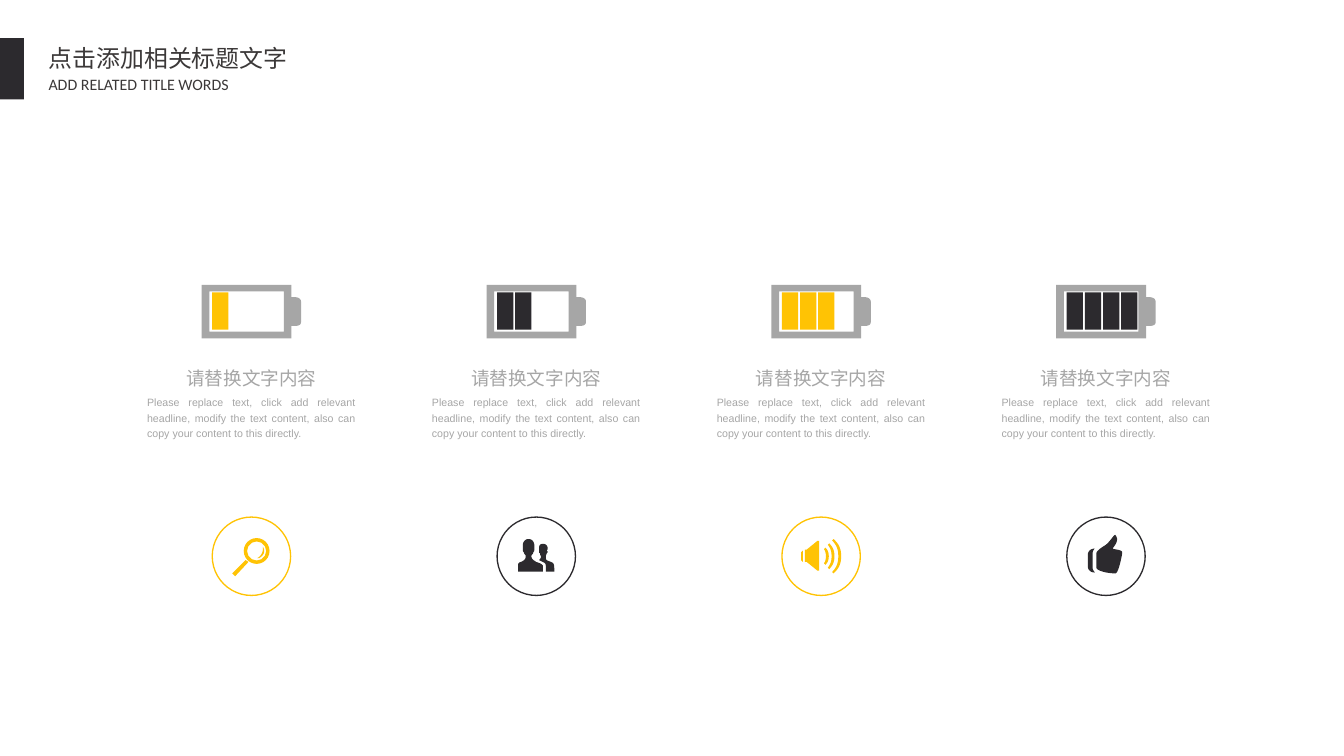
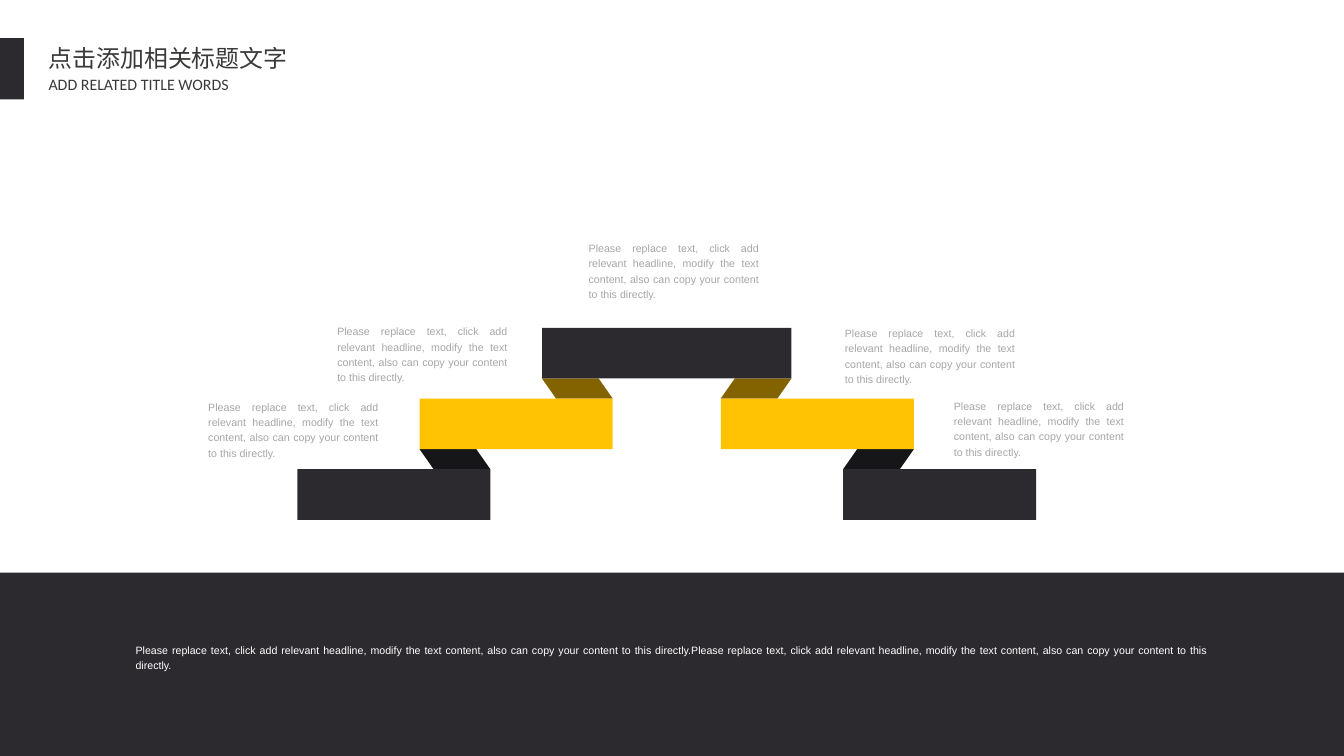
from dataclasses import dataclass

from lxml import etree
from pptx import Presentation
from pptx.dml.color import RGBColor
from pptx.enum.shapes import MSO_SHAPE
from pptx.enum.text import MSO_ANCHOR, MSO_AUTO_SIZE, PP_ALIGN
from pptx.oxml.ns import qn
from pptx.util import Inches, Pt

RECTANGLE = MSO_SHAPE.RECTANGLE
OVAL = MSO_SHAPE.OVAL
DONUT = MSO_SHAPE.DONUT
PARALLELOGRAM = MSO_SHAPE.PARALLELOGRAM
LEFT, CENTER, JUSTIFY = PP_ALIGN.LEFT, PP_ALIGN.CENTER, PP_ALIGN.JUSTIFY
TOP, MIDDLE = MSO_ANCHOR.TOP, MSO_ANCHOR.MIDDLE
GROW_TO_TEXT = MSO_AUTO_SIZE.SHAPE_TO_FIT_TEXT


@dataclass(frozen=True)
class Theme:
    dark: str = "2C2A2E"
    dark_fold: str = "161517"
    yellow: str = "FFC304"
    yellow_fold: str = "826300"
    gray: str = "A6A6A6"
    title: str = "3B3838"
    white: str = "FFFFFF"
    body_font: str = "Arial"
    subtitle_font: str = "Calibri"
    chinese_font: str = "Noto Sans CJK SC"
    title_size: int = 18
    heading_size: int = 14
    subtitle_size: int = 12
    body_size: int = 8


THEME = Theme()
WIDTH, HEIGHT = 14.06, 7.91
BODY = ("Please replace text, click add relevant headline, modify the text "
        "content, also can copy your content to this directly.")

# Icon outlines in hundredths of an inch from the top left of the ring.
# Two numbers are a corner, six numbers a Bezier curve.
LENS_HANDLE = [(21, 59), (24, 62), (38, 47), (35, 45)]
LENS_GLINT = [(53, 31), (54, 40, 47, 43, 47, 43), (49, 43), (58, 38, 53, 31, 53, 31)]
SMALL_PERSON = [
    (60, 57), (60, 57, 60, 49, 59, 49), (59, 48, 57, 47, 54, 46),
    (51, 45, 51, 44, 51, 41), (51, 40, 51, 41, 52, 38), (52, 37, 53, 38, 53, 36),
    (52, 35), (52, 35, 53, 34, 53, 33), (53, 31, 52, 28, 48, 28),
    (44, 28, 44, 31, 44, 33), (44, 36), (44, 38, 44, 37, 45, 38),
    (45, 41, 46, 40, 46, 41), (46, 43, 45, 44, 44, 45),
    (50, 48, 51, 48, 51, 51), (51, 57)]
LARGE_PERSON = [
    (41, 47), (38, 45, 36, 44, 36, 41), (36, 39, 37, 40, 38, 37),
    (38, 36, 39, 37, 39, 34), (39, 29), (39, 28, 38, 23, 33, 23),
    (28, 23, 27, 28, 27, 29), (27, 34), (27, 37, 28, 36, 28, 37),
    (29, 40, 30, 39, 30, 41), (30, 44, 29, 45, 25, 47),
    (24, 47, 22, 48, 22, 50), (22, 57), (48, 57), (48, 51),
    (48, 50, 45, 48, 41, 47)]
HORN = [(37, 25), (26, 34), (24, 34), (24, 47), (26, 47), (37, 56), (39, 56), (39, 25)]
HORN_BACK = [(20, 37), (20, 45), (22, 47), (22, 35)]
THUMB = [
    (48, 33), (48, 32, 56, 25, 51, 19), (50, 17, 46, 25, 41, 29),
    (38, 31, 31, 35, 31, 38), (31, 53), (31, 56, 42, 59, 51, 59),
    (54, 59, 58, 40, 58, 37), (58, 34, 49, 34, 48, 33)]
CUFF = [
    (29, 33), (27, 33, 22, 34, 22, 40), (22, 51), (22, 57, 27, 58, 29, 58),
    (30, 58, 27, 56, 27, 53), (27, 38), (27, 34, 30, 33, 29, 33)]
# Battery case with its cap, and the window cut into it
BATTERY_CASE = [
    (94, 13), (94, 0), (0, 0), (0, 56), (94, 56), (94, 43),
    (97, 43, 104, 44, 104, 39), (104, 18), (104, 12, 96, 13, 94, 13)]
BATTERY_WINDOW = [(86, 49), (8, 49), (8, 7), (86, 7)]


def sound_wave(tip, bulge, half_height):
    """Outline of one wave: an inner and an outer arc joined at the tips."""
    middle = 41

    def arc(start_x, end_x, half, direction):
        start, end = middle - direction * half, middle + direction * half
        near, far = middle - direction * half * 0.5, middle + direction * half * 0.5
        shoulder = start_x + (end_x - start_x) * 0.6
        return [(start_x, start),
                (shoulder, middle - direction * half * 0.75, end_x, near, end_x, middle),
                (end_x, far, shoulder, middle + direction * half * 0.75, start_x, end)]

    return arc(tip, bulge - 3, half_height - 1.5, 1) + arc(tip + 1.5, bulge, half_height, -1)


SOUND_WAVES = [sound_wave(44, 49, 9), sound_wave(48, 55, 13.5), sound_wave(52.5, 62, 18)]
MAGNIFIER = [LENS_HANDLE, LENS_GLINT]
PEOPLE = [SMALL_PERSON, LARGE_PERSON]
SPEAKER = [HORN, HORN_BACK, *SOUND_WAVES]
THUMB_UP = [THUMB, CUFF]


# Basic parts
def paint(shape, fill=None, line=None):
    shape.shadow.inherit = False
    if fill:
        shape.fill.solid()
        shape.fill.fore_color.rgb = RGBColor.from_string(fill)
    else:
        shape.fill.background()
    if line:
        shape.line.color.rgb = RGBColor.from_string(line)
        shape.line.width = Pt(1)
    else:
        shape.line.fill.background()
    return shape


def add_preset(shapes, kind, left, top, width, height, fill=None, line=None):
    shape = shapes.add_shape(kind, Inches(left), Inches(top), Inches(width), Inches(height))
    return paint(shape, fill, line)


def flatten(outline, steps=10):
    """Turn corners and Bezier curves into a list of points."""
    points = [outline[0]]
    for part in outline[1:]:
        if len(part) == 2:
            points.append(part)
            continue
        corners = [points[-1], part[0:2], part[2:4], part[4:6]]
        for step in range(1, steps + 1):
            t = step / steps
            weights = ((1 - t) ** 3, 3 * t * (1 - t) ** 2, 3 * t * t * (1 - t), t ** 3)
            points.append(tuple(
                sum(weight * corner[axis] for weight, corner in zip(weights, corners))
                for axis in (0, 1)))
    return points


def add_outline(shapes, left, top, contours, fill):
    builder = None
    for contour in contours:
        points = [(Inches(left + x / 100), Inches(top + y / 100))
                  for x, y in flatten(contour)]
        if builder is None:
            builder = shapes.build_freeform(*points[0], scale=1.0)
        else:
            builder.move_to(*points[0])
        builder.add_line_segments(points[1:], close=True)
    return paint(builder.convert_to_shape(), fill)


def add_text(slide, text, left, top, width, height, *, size=THEME.body_size,
             color=THEME.gray, font=THEME.body_font, align=JUSTIFY, spacing=1.2,
             anchor=TOP, wrap=True):
    box = slide.shapes.add_textbox(Inches(left), Inches(top), Inches(width), Inches(height))
    frame = box.text_frame
    frame.word_wrap = wrap
    frame.vertical_anchor = anchor
    if not wrap:
        frame.auto_size = GROW_TO_TEXT
    paragraph = frame.paragraphs[0]
    paragraph.alignment = align
    paragraph.line_spacing = spacing
    run = paragraph.add_run()
    run.text = text
    run.font.size = Pt(size)
    run.font.name = font
    run.font.color.rgb = RGBColor.from_string(color)
    east_asian = etree.SubElement(run.font._element, qn("a:ea"))
    east_asian.set("typeface", THEME.chinese_font)


# Shared title with its side band
def add_slide(presentation):
    slide = presentation.slides.add_slide(presentation.slide_layouts[6])
    add_preset(slide.shapes, RECTANGLE, 0, 0.4, 0.25, 0.64, THEME.dark)
    title_style = dict(color=THEME.title, align=LEFT, spacing=None, wrap=False)
    add_text(slide, "点击添加相关标题文字", 0.41, 0.41, 2.74, 0.41,
             size=THEME.title_size, font=THEME.chinese_font, **title_style)
    add_text(slide, "ADD RELATED TITLE WORDS", 0.41, 0.73, 2.57, 0.31,
             size=THEME.subtitle_size, font=THEME.subtitle_font, **title_style)
    return slide


# Battery slide
def add_battery(slide, left, top, charge, color):
    shapes = slide.shapes.add_group_shape().shapes
    add_outline(shapes, left, top, [BATTERY_CASE, BATTERY_WINDOW], THEME.gray)
    for cell in range(charge):
        add_preset(shapes, RECTANGLE, left + 0.11 + cell * 0.19, top + 0.08,
                   0.17, 0.39, color)


def add_ring_icon(slide, left, top, outlines, color):
    shapes = slide.shapes.add_group_shape().shapes
    for outline in outlines:
        add_outline(shapes, left, top, [outline], color)
    if outlines is MAGNIFIER:
        lens = add_preset(shapes, DONUT, left + 0.33, top + 0.22, 0.27, 0.27, color)
        lens.adjustments[0] = 0.13
    add_preset(shapes, OVAL, left, top, 0.82, 0.82, line=color)


def add_battery_column(slide, left, top, charge, color, icon):
    add_battery(slide, left + 0.67, top, charge, color)
    add_text(slide, "请替换文字内容", left, top + 0.76, 2.38, 0.39,
             size=THEME.heading_size, align=CENTER)
    add_text(slide, BODY, left, top + 1.09, 2.38, 0.87)
    add_ring_icon(slide, left + 0.78, top + 2.43, icon, color)


def build_battery_slide(presentation):
    slide = add_slide(presentation)
    for index, icon in enumerate((MAGNIFIER, PEOPLE, SPEAKER, THUMB_UP)):
        color = THEME.dark if index % 2 else THEME.yellow
        add_battery_column(slide, 1.44 + index * 2.98, 2.98, index + 1, color, icon)


# Ribbon slide
def add_ribbon(slide, left, top, width):
    """Stairs of folded bands, mirrored about the middle of the given width."""
    band, fold, step = 0.53, 0.21, 0.74
    band_width, fold_width, shift = 2.02, 0.74, 1.28

    def add_pair(kind, offset, pair_top, part_width, height, fill):
        starts = (left + offset, left + width - offset - part_width)
        return [add_preset(slide.shapes, kind, start, pair_top, part_width, height, fill)
                for start in starts]

    levels = ((THEME.dark, THEME.dark_fold), (THEME.yellow, THEME.yellow_fold))
    for index, (color, fold_color) in enumerate(levels):
        band_top = top + (2 - index) * step
        folds = add_pair(PARALLELOGRAM, (index + 1) * shift, band_top - fold,
                         fold_width, fold, fold_color)
        for shape in folds:
            shape.adjustments[0] = 0.7
        folds[0].element.spPr.find(qn("a:xfrm")).set("flipH", "1")
        add_pair(RECTANGLE, index * shift, band_top, band_width, band, color)
    add_preset(slide.shapes, RECTANGLE, left + 2 * shift, top,
               width - 4 * shift, band, THEME.dark)


def add_footer_band(slide, top):
    add_preset(slide.shapes, RECTANGLE, 0, top, WIDTH, HEIGHT - top, THEME.dark)
    add_text(slide, BODY * 2, 1.32, top + 0.67, 11.43, 0.59, color=THEME.white)


def build_ribbon_slide(presentation):
    slide = add_slide(presentation)
    add_ribbon(slide, 3.11, 3.43, 7.73)
    captions = ((2.08, 4.21), (3.43, 3.42), (6.06, 2.55), (8.74, 3.44), (9.88, 4.2))
    for left, top in captions:
        add_text(slide, BODY, left, top, 1.98, 0.55, anchor=MIDDLE)
    add_footer_band(slide, 5.99)


def main():
    presentation = Presentation()
    presentation.slide_width = Inches(WIDTH)
    presentation.slide_height = Inches(HEIGHT)
    build_battery_slide(presentation)
    build_ribbon_slide(presentation)
    presentation.save("out.pptx")


if __name__ == "__main__":
    main()
